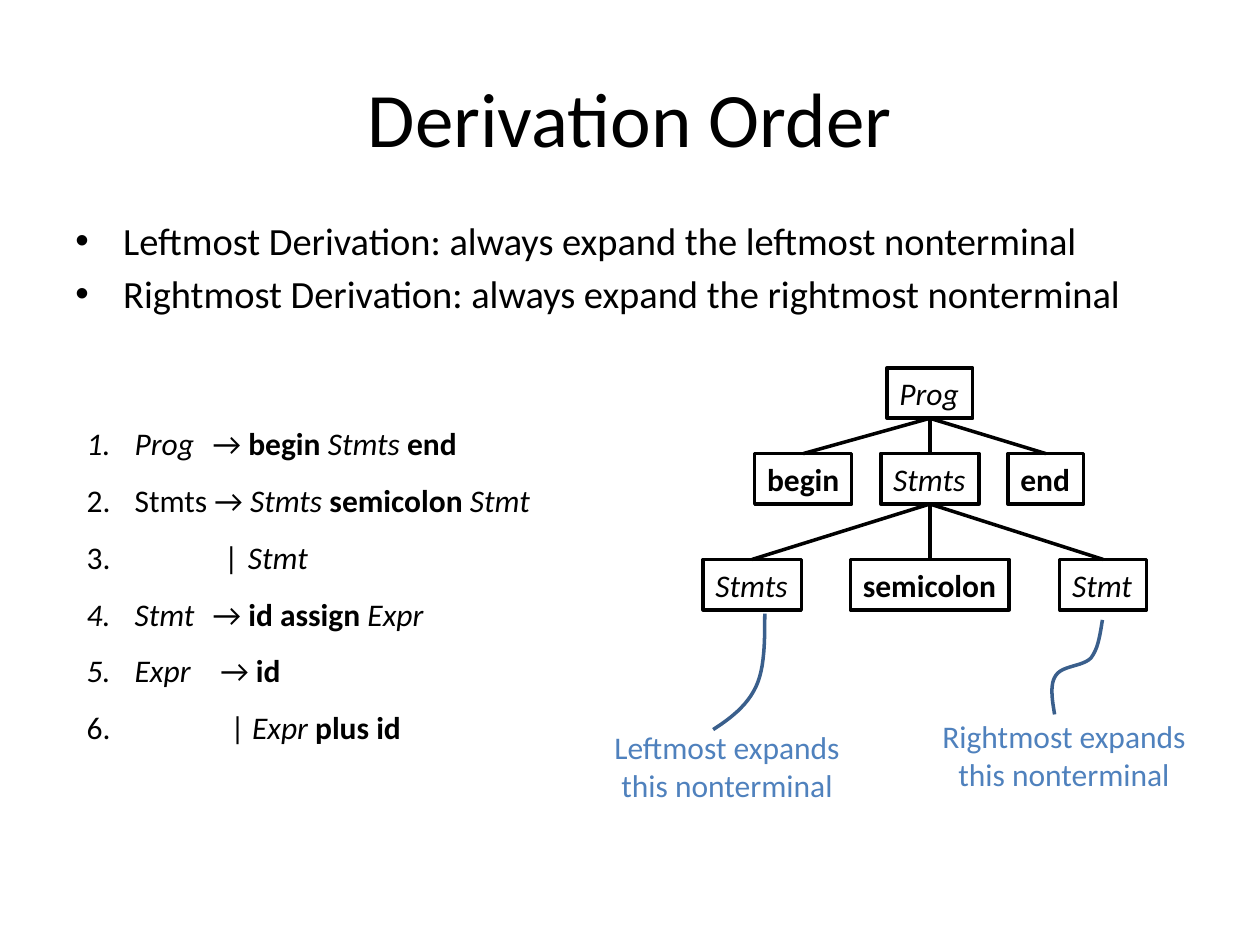
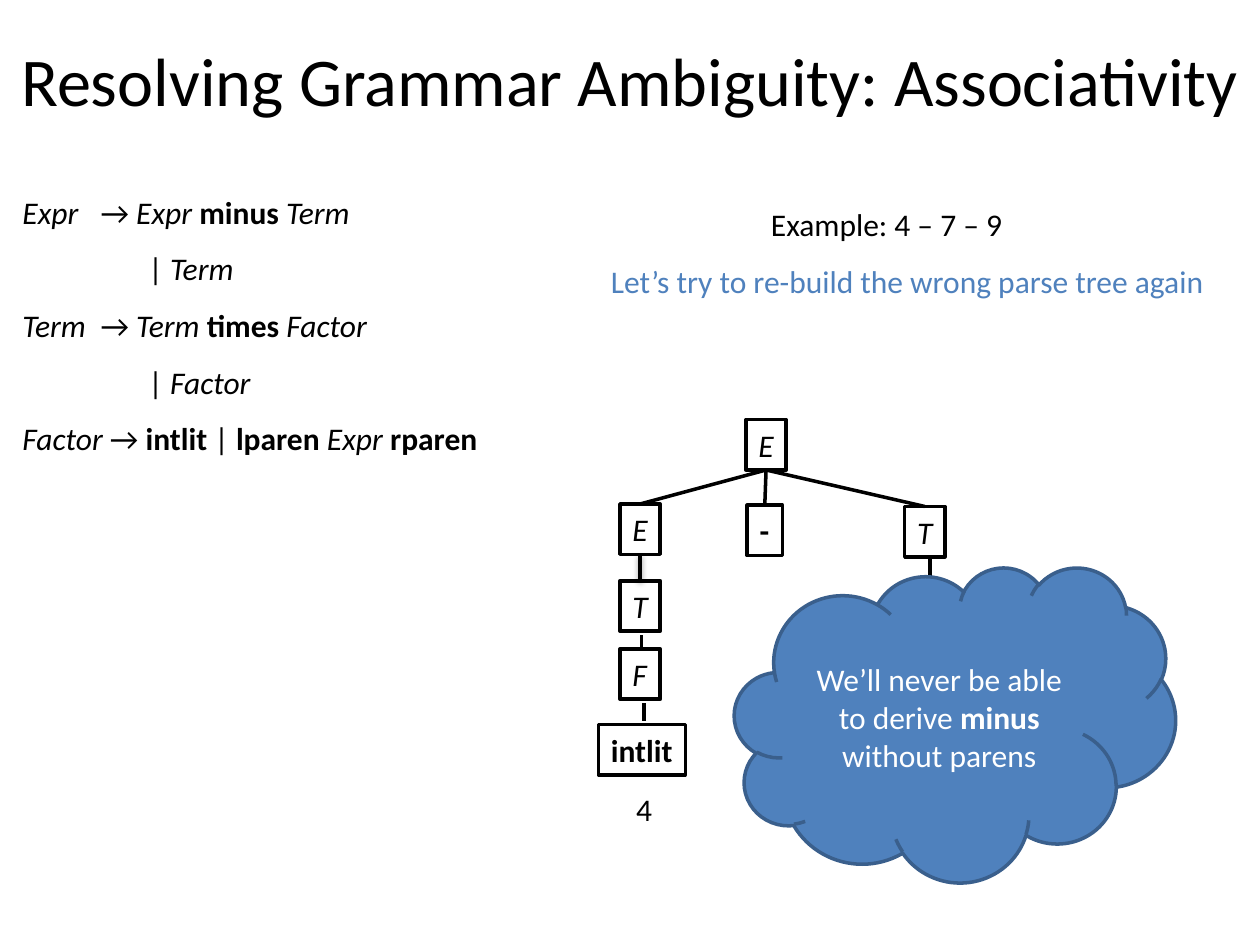
"""Build two slides on grammars: derivation order and associativity."""
from lxml import etree
from pptx import Presentation
from pptx.dml.color import RGBColor
from pptx.enum.shapes import MSO_CONNECTOR as CONN, MSO_SHAPE as SHAPE
from pptx.enum.text import MSO_ANCHOR as ANCHOR, PP_ALIGN as ALIGN
from pptx.oxml.ns import qn
from pptx.util import Inches, Pt

BLACK, WHITE, BLUE, DARK_BLUE = "000000", "FFFFFF", "4F81BD", "3A5F8C"
FONT, BOX_H, LINE_W = "Calibri", 0.4, 2

DEFINITIONS = [
    "Leftmost Derivation: always expand the leftmost nonterminal",
    "Rightmost Derivation: always expand the rightmost nonterminal",
]
NUMBERED_RULES = [
    ("_Prog_\t→ *begin* _Stmts_ *end*", [1]),
    ("Stmts → _Stmts_ *semicolon* _Stmt_", []),
    ("\t|\t_Stmt_", [1.09, 1.28]),
    ("_Stmt_\t→ *id assign* _Expr_", [1]),
    ("_Expr_\t→ *id*", [1.06]),
    ("\t| _Expr_ *plus id*", [1.14]),
]
DERIVATION_NODES = {
    "prog": ("_Prog_", 7.04, 2.92, 0.68),
    "begin": ("*begin*", 5.99, 3.6, 0.77),
    "stmts": ("_Stmts_", 6.99, 3.6, 0.78),
    "end": ("*end*", 8, 3.6, 0.6),
    "left": ("_Stmts_", 5.58, 4.44, 0.78),
    "semicolon": ("*semicolon*", 6.75, 4.44, 1.26),
    "right": ("_Stmt_", 8.41, 4.44, 0.69),
}
DERIVATION_EDGES = {"prog": ["begin", "stmts", "end"],
                    "stmts": ["left", "semicolon", "right"]}
CALLOUTS = [
    (["Leftmost expands", "this nonterminal"], (4.76, 5.73, 2.02, 0.71),
     [(5.66, 5.79), (5.8, 5.7), (5.93, 5.6), (6, 5.45),
      (6.07, 5.3), (6.07, 5.09), (6.07, 4.87)]),
    (["Rightmost expands", "this nonterminal"], (7.36, 5.64, 2.17, 0.71),
     [(8.37, 5.67), (8.35, 5.55), (8.33, 5.43), (8.38, 5.36),
      (8.43, 5.28), (8.6, 5.29), (8.66, 5.22),
      (8.72, 5.14), (8.73, 5.03), (8.75, 4.92)]),
]

EXPR_RULES = [
    ("_Expr_\t→ _Expr_ *minus* _Term_", [0.62]),
    ("\t| _Term_", [1]),
    ("_Term_\t→ _Term_ *times* _Factor_", [0.62]),
    ("\t| _Factor_", [1]),
    ("_Factor_ → *intlit* | *lparen* _Expr_ *rparen*", []),
]
PARSE_NODES = {
    "root": ("_E_", 5.92, 3.33, 0.32),
    "expr": ("_E_", 4.92, 4, 0.32),
    "minus": ("*-*", 5.93, 4.01, 0.28),
    "right": ("_T_", 7.18, 4.02, 0.32),
    "term": ("_T_", 4.92, 4.61, 0.32),
    "factor": ("_F_", 4.92, 5.15, 0.32),
    "intlit": ("*intlit*", 4.75, 5.75, 0.69),
}
PARSE_EDGES = {"root": ["expr", "minus", "right"]}
STUBS = [(7.38, 4.44, 4.57), (5.09, 5.04, 5.17), (5.11, 5.58, 5.72)]
CLOUD_TEXT = ["We’ll never be able to derive *minus*", "without parens"]


def rgb(color):
    """Turn a hex string into a colour."""
    return RGBColor.from_string(color)


def outline(shape, color):
    """Give a shape or connector a solid line."""
    shape.line.color.rgb = rgb(color)
    shape.line.width = Pt(LINE_W)


def add_runs(p, text, size, color):
    """Write marked text: _italic_ and *bold*."""
    for i, part in enumerate(text.split("_")):
        for j, piece in enumerate(part.split("*")):
            if piece:
                r = p.add_run()
                r.text, f = piece, r.font
                f.name, f.size, f.color.rgb = FONT, Pt(size), rgb(color)
                f.italic, f.bold = i % 2 == 1, j % 2 == 1


def format_paragraph(p, tabs, bullet):
    """Add a hanging bullet or number and tab stops."""
    pPr = p._p.get_or_add_pPr()
    if bullet:
        pPr.set("marL", str(Inches(0.38)))
        pPr.set("indent", str(-Inches(0.38)))
        if bullet == "number":
            etree.SubElement(pPr, qn("a:buAutoNum"), type="arabicPeriod")
        else:
            font = etree.SubElement(pPr, qn("a:buFont"))
            font.set("typeface", "Arial")
            etree.SubElement(pPr, qn("a:buChar"), char=bullet)
    if tabs:
        stops = etree.SubElement(pPr, qn("a:tabLst"))
        for pos in tabs:
            etree.SubElement(stops, qn("a:tab"), pos=str(Inches(pos)), algn="l")


def write(shape, lines, size=18, color=BLACK, align=ALIGN.LEFT, anchor=ANCHOR.TOP,
          wrap=False, spacing=None, before=None, bullet=None):
    """Fill a shape with lines, each a string or a (string, tabs) pair."""
    tf = shape.text_frame
    tf.word_wrap, tf.vertical_anchor = wrap, anchor
    for i, line in enumerate(lines):
        text, tabs = (line, []) if isinstance(line, str) else line
        p = tf.paragraphs[0] if i == 0 else tf.add_paragraph()
        p.alignment = align
        if spacing:
            p.line_spacing = spacing
        if before:
            p.space_before = Pt(before)
        format_paragraph(p, tabs, bullet)
        add_runs(p, text, size, color)


def add_text(s, at, lines, **fmt):
    """Add a text box."""
    write(s.shapes.add_textbox(*map(Inches, at)), lines, **fmt)


def add_title(s, at, text, size):
    """Add a centred slide title."""
    add_text(s, at, [text], size=size, align=ALIGN.CENTER,
             anchor=ANCHOR.MIDDLE, wrap=True)


def add_shape(s, kind, at, lines, fill, line, **fmt):
    """Add a filled, outlined shape with text."""
    sp = s.shapes.add_shape(kind, *map(Inches, at))
    sp.shadow.inherit = False
    sp.fill.solid()
    sp.fill.fore_color.rgb = rgb(fill)
    outline(sp, line)
    write(sp, lines, **fmt)


def add_line(s, x1, y1, x2, y2, shadow=False):
    """Add a straight black line."""
    c = s.shapes.add_connector(CONN.STRAIGHT, *map(Inches, (x1, y1, x2, y2)))
    outline(c, BLACK)
    effects = etree.SubElement(c._element.spPr, qn("a:effectLst"))
    if shadow:
        outer = etree.SubElement(effects, qn("a:outerShdw"), blurRad=str(Pt(3.1)),
                                 dist=str(Pt(1.6)), dir="5400000", rotWithShape="0")
        tint = etree.SubElement(outer, qn("a:srgbClr"), val=BLACK)
        etree.SubElement(tint, qn("a:alpha"), val="38000")


def add_edge(s, nodes, parent, child, shadow=False):
    """Join the bottom of a parent to the top of a child."""
    _, x1, y1, w1 = nodes[parent]
    _, x2, y2, w2 = nodes[child]
    add_line(s, x1 + w1 / 2, y1 + BOX_H, x2 + w2 / 2, y2, shadow)


def add_tree(s, nodes, edges):
    """Draw the boxes of a tree and the lines between them."""
    for text, x, y, w in nodes.values():
        add_shape(s, SHAPE.RECTANGLE, (x, y, w, BOX_H), [text], WHITE, BLACK)
    for parent, children in edges.items():
        for child in children:
            add_edge(s, nodes, parent, child)


def add_curve(s, points, steps=12):
    """Trace joined cubic Bezier curves with a freeform."""
    trace = []
    for k in range(0, len(points) - 1, 3):
        for n in range(1, steps + 1):
            t = n / steps
            weights = ((1 - t) ** 3, 3 * t * (1 - t) ** 2, 3 * t * t * (1 - t), t ** 3)
            trace.append(tuple(
                Inches(sum(w * pt[axis] for w, pt in zip(weights, points[k:k + 4])))
                for axis in (0, 1)))
    builder = s.shapes.build_freeform(*map(Inches, points[0]))
    builder.add_line_segments(trace, close=False)
    sp = builder.convert_to_shape()
    sp.shadow.inherit = False
    sp.fill.background()
    outline(sp, DARK_BLUE)


def derivation_slide(s):
    """Show the two derivation orders on a parse tree."""
    add_title(s, (0.5, 0.3, 9, 1.25), "Derivation Order", 44)
    add_text(s, (0.5, 1.67, 9, 5.75), DEFINITIONS, size=22, wrap=True,
             before=4.4, bullet="•")
    add_text(s, (0.59, 3.17, 3.74, 2.83), NUMBERED_RULES, spacing=1.5, bullet="number")
    add_tree(s, DERIVATION_NODES, DERIVATION_EDGES)
    for lines, at, curve in CALLOUTS:
        add_text(s, at, lines, color=BLUE, align=ALIGN.CENTER)
        add_curve(s, curve)


def associativity_slide(s):
    """Show how the grammar blocks the wrong parse tree."""
    add_title(s, (0, 0, 10, 1.25), "Resolving Grammar Ambiguity: Associativity", 39)
    add_text(s, (0.08, 1.33, 6, 2.33), EXPR_RULES, spacing=1.5, wrap=True)
    add_text(s, (6.02, 1.58, 2.06, BOX_H), ["Example: 4 – 7 – 9"])
    add_text(s, (4.75, 2.03, 5.05, BOX_H),
             ["Let’s try to re-build the wrong parse tree again"], color=BLUE)
    for x, top, bottom in STUBS:
        add_line(s, x, top, x, bottom)
    add_tree(s, PARSE_NODES, PARSE_EDGES)
    add_edge(s, PARSE_NODES, "expr", "term", shadow=True)
    add_text(s, (4.95, 6.22, 0.33, BOX_H), ["4"])
    add_shape(s, SHAPE.CLOUD, (5.83, 4.5, 3.5, 2.5), CLOUD_TEXT, BLUE, DARK_BLUE,
              color=WHITE, align=ALIGN.CENTER, anchor=ANCHOR.MIDDLE, wrap=True)


prs = Presentation()
prs.slide_width, prs.slide_height = Inches(10), Inches(7.5)
for build in (derivation_slide, associativity_slide):
    build(prs.slides.add_slide(prs.slide_layouts[6]))
prs.save("out.pptx")
